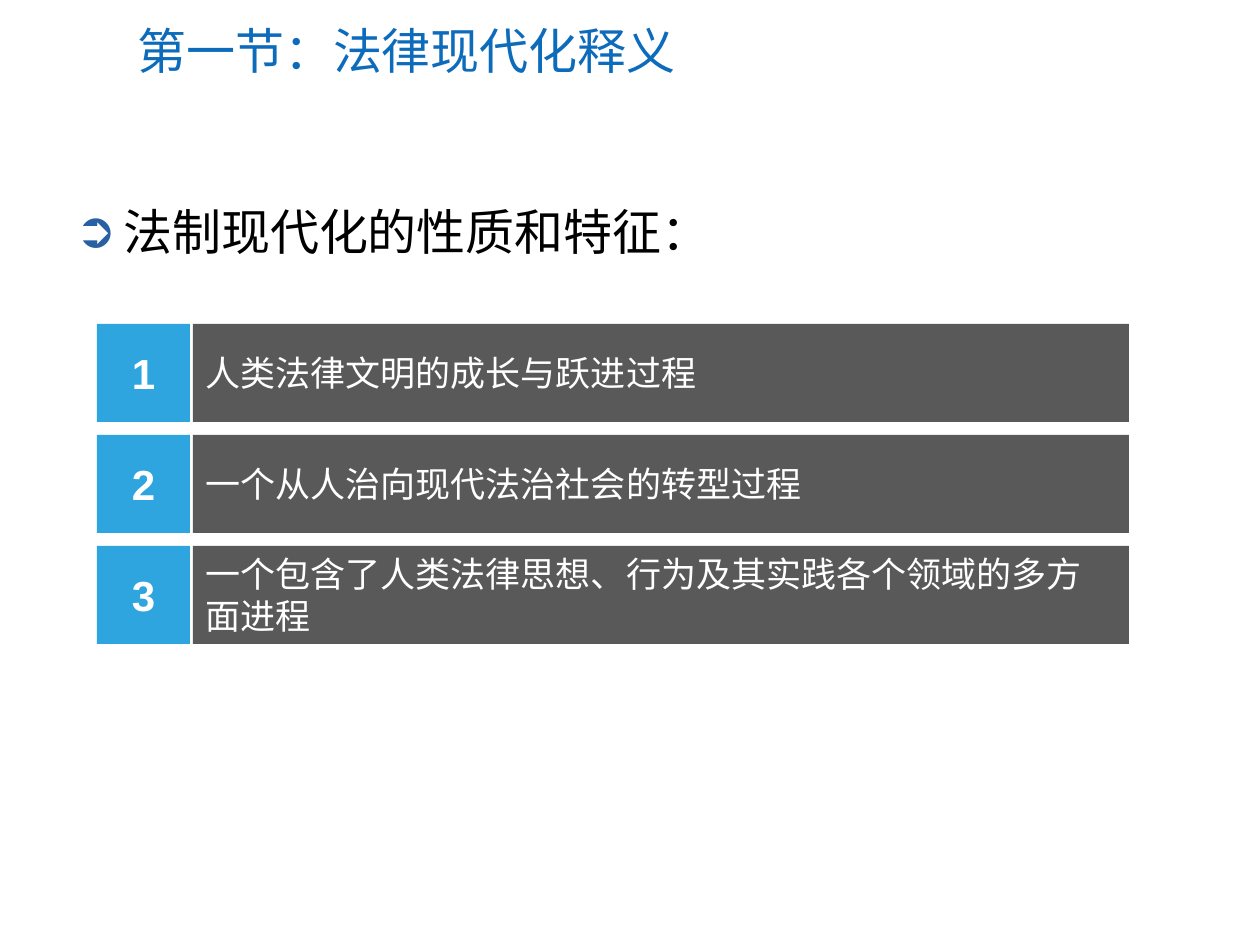
from pptx import Presentation
from pptx.dml.color import RGBColor
from pptx.enum.shapes import MSO_SHAPE
from pptx.enum.text import MSO_ANCHOR, PP_ALIGN
from pptx.oxml.ns import qn
from pptx.util import Emu, Pt
from lxml.etree import SubElement

PIXEL = 914400 // 126
COLORS = {
    "title": "0C6BBA",
    "body": "000000",
    "bullet": "2860A4",
    "number": "2EA5DF",
    "bar": "595959",
    "light": "FFFFFF",
}
FEATURES = [
    "人类法律文明的成长与跃进过程",
    "一个从人治向现代法治社会的转型过程",
    "一个包含了人类法律思想、行为及其实践各个领域的多方面进程",
]
ROW_TOP, ROW_HEIGHT, ROW_STEP = 324, 98, 111


def box(*pixels):
    return [Emu(value * PIXEL) for value in pixels]


def color(name):
    return RGBColor.from_string(COLORS[name])


def write(shape, text, size, font_name, color_name, anchor, align=PP_ALIGN.LEFT,
          bold=False, space_before=0):
    frame = shape.text_frame
    frame.text = text
    frame.word_wrap = True
    frame.vertical_anchor = anchor
    paragraph = frame.paragraphs[0]
    paragraph.alignment = align
    paragraph.space_before = Pt(space_before)
    font = paragraph.runs[0].font
    font.size = Pt(size)
    font.name = font_name
    font.bold = bold
    font.color.rgb = color(color_name)
    return paragraph


def add_text(slide, bounds, text, color_name, anchor, space_before=0):
    shape = slide.shapes.add_textbox(*box(*bounds))
    return write(shape, text, 28, "Calibri", color_name, anchor,
                 space_before=space_before)


def add_bullet(paragraph, character, color_name, indent):
    properties = paragraph._p.get_or_add_pPr()
    properties.set("marL", str(indent * PIXEL))
    properties.set("indent", str(-indent * PIXEL))
    bullet_color = SubElement(properties, qn("a:buClr"))
    SubElement(bullet_color, qn("a:srgbClr"), val=COLORS[color_name])
    SubElement(properties, qn("a:buFont"), typeface="Arial")
    SubElement(properties, qn("a:buChar"), char=character)


def add_block(group, bounds, fill_name):
    shape = group.shapes.add_shape(MSO_SHAPE.RECTANGLE, *box(*bounds))
    shape.shadow.inherit = False
    shape.fill.solid()
    shape.fill.fore_color.rgb = color(fill_name)
    shape.line.fill.background()
    return shape


def add_feature(slide, index, text):
    top = ROW_TOP + index * ROW_STEP
    group = slide.shapes.add_group_shape()
    number = add_block(group, (97, top, 93, ROW_HEIGHT), "number")
    write(number, str(index + 1), 24, "Arial", "light", MSO_ANCHOR.MIDDLE,
          PP_ALIGN.CENTER, bold=True, space_before=4.8)
    bar = add_block(group, (193, top, 936, ROW_HEIGHT), "bar")
    write(bar, text, 20, "Calibri", "light", MSO_ANCHOR.MIDDLE, space_before=4)


def main():
    presentation = Presentation()
    presentation.slide_width, presentation.slide_height = box(1260, 945)
    slide = presentation.slides.add_slide(presentation.slide_layouts[6])
    add_text(slide, (125, 13, 1099, 73), "第一节：法律现代化释义", "title",
             MSO_ANCHOR.MIDDLE)
    heading = add_text(slide, (63, 195, 1134, 92), "法制现代化的性质和特征：",
                       "body", MSO_ANCHOR.TOP, space_before=5.6)
    add_bullet(heading, "➲", "bullet", 48)
    for index, text in enumerate(FEATURES):
        add_feature(slide, index, text)
    presentation.save("out.pptx")


main()
